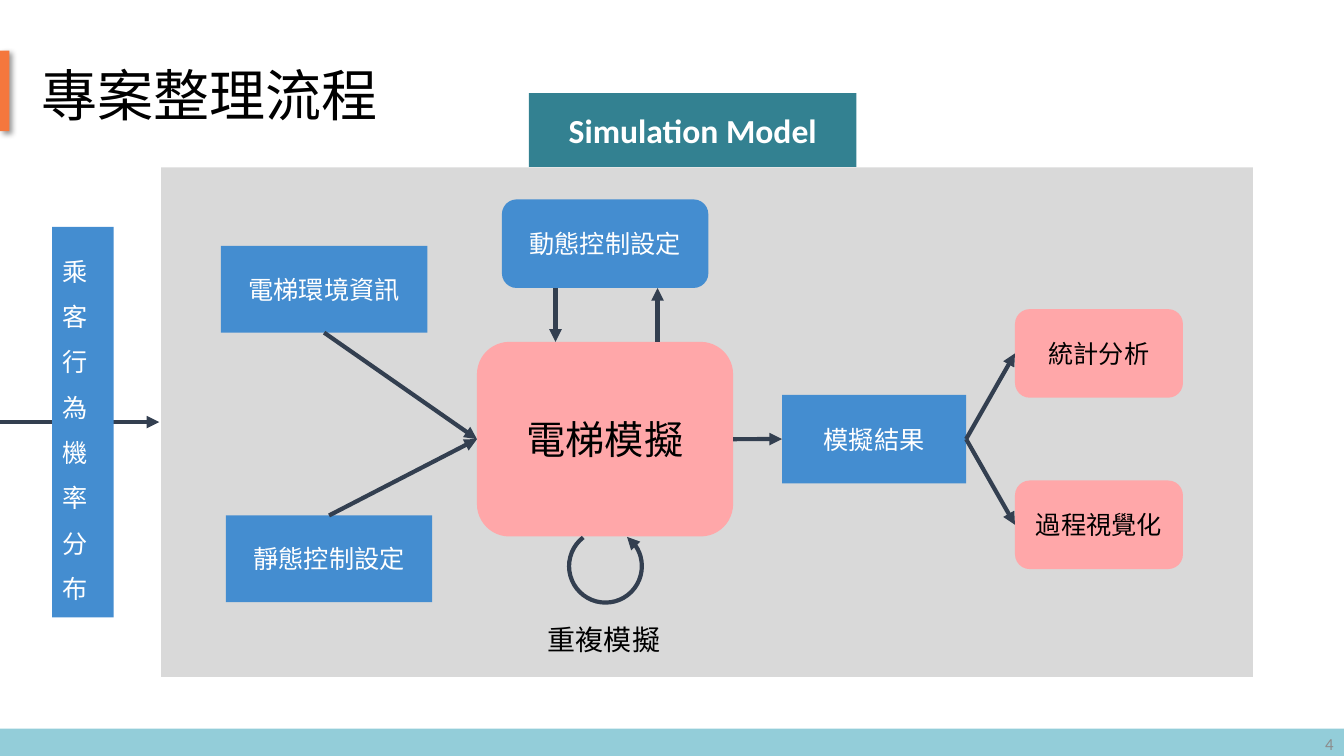
import dataclasses
import typing

import pptx
import pptx.dml.color
import pptx.enum.shapes
import pptx.enum.text
import pptx.oxml
import pptx.oxml.ns
import pptx.util

Pt = pptx.util.Pt
Kind = pptx.enum.shapes.MSO_SHAPE
Align = pptx.enum.text.PP_ALIGN
Anchor = pptx.enum.text.MSO_ANCHOR
Fit = pptx.enum.text.MSO_AUTO_SIZE

BLUE, PINK, SLATE = "448DD0", "FFA7A9", "333F50"
WHITE, BLACK = "FFFFFF", "000000"
CJK = "Noto Sans CJK JP"
TOP, LEFT, BASE, RIGHT = range(4)


@dataclasses.dataclass
class Box:
    left: float
    top: float
    width: float
    height: float
    fill: str
    text: str = ""
    ink: str = WHITE
    size: float = 18
    kind: typing.Any = Kind.RECTANGLE
    bold: bool = False
    align: typing.Any = Align.CENTER
    space: float = 1.0


@dataclasses.dataclass
class Label:
    left: float
    top: float
    width: float
    height: float
    text: str
    size: float
    ink: str = BLACK
    face: str = "Calibri"
    align: typing.Any = Align.LEFT
    wrap: bool = False
    anchor: typing.Any = Anchor.TOP
    fit: typing.Any = Fit.SHAPE_TO_FIT_TEXT


class Link(typing.NamedTuple):
    tail: str
    start: int
    head: str
    end: int


class Line(typing.NamedTuple):
    x1: float
    y1: float
    x2: float
    y2: float


deck = pptx.Presentation()
deck.slide_width, deck.slide_height = Pt(960), Pt(540)
slide = deck.slides.add_slide(deck.slide_layouts[6])
shapes = slide.shapes


def tint(code: str) -> pptx.dml.color.RGBColor:
    return pptx.dml.color.RGBColor.from_string(code)


def put(item: typing.Any, values: dict) -> None:
    for name, value in values.items():
        setattr(item, name, value)


def write(frame: typing.Any, part: typing.Any, face: str, bold: bool, space: float) -> None:
    para = frame.paragraphs[0]
    put(para, {"alignment": part.align, "line_spacing": space})
    run = para.add_run()
    run.text = part.text
    put(run.font, {"size": Pt(part.size), "name": face, "bold": bold})
    run.font.color.rgb = tint(part.ink)
    if face == CJK:
        east = run.font.fill and pptx.oxml.parse_xml(
            f'<a:ea {pptx.oxml.ns.nsdecls("a")} typeface="{CJK}"/>')
        run._r.get_or_add_rPr().find(pptx.oxml.ns.qn("a:latin")).addnext(east)


def draw(box: Box) -> typing.Any:
    shape = shapes.add_shape(box.kind, Pt(box.left), Pt(box.top), Pt(box.width), Pt(box.height))
    shape.shadow.inherit = False
    shape.fill.solid()
    shape.fill.fore_color.rgb = tint(box.fill)
    shape.line.fill.background()
    if box.text:
        put(shape.text_frame, {"word_wrap": True, "vertical_anchor": Anchor.MIDDLE})
        write(shape.text_frame, box, "Calibri", box.bold, box.space)
    return shape


def note(label: Label) -> None:
    area = shapes.add_textbox(Pt(label.left), Pt(label.top), Pt(label.width), Pt(label.height))
    put(area.text_frame, {"word_wrap": label.wrap, "vertical_anchor": label.anchor,
                          "auto_size": label.fit})
    write(area.text_frame, label, label.face, False, 1.0)


def stroke(shape: typing.Any) -> None:
    shape.line.color.rgb = tint(SLATE)
    shape.line.width = Pt(3)
    shape.line._get_or_add_ln().append(
        pptx.oxml.parse_xml(f'<a:tailEnd {pptx.oxml.ns.nsdecls("a")} type="triangle"/>'))


def arrow(line: Line) -> typing.Any:
    wire = shapes.add_connector(pptx.enum.shapes.MSO_CONNECTOR.STRAIGHT, *map(Pt, line))
    stroke(wire)
    wire.element.spPr.append(
        pptx.oxml.parse_xml(f'<a:effectLst {pptx.oxml.ns.nsdecls("a")}/>'))
    return wire


# Footer band, page number and inflow
draw(Box(-3, 520.5, 963, 21, "93CDD9"))
note(Label(743.8, 517, 216, 28.8, "4", 12, "8C8C8C", align=Align.RIGHT,
           wrap=True, anchor=Anchor.MIDDLE, fit=Fit.NONE))
arrow(Line(-133.2, 301.5, 113.8, 301.5))

# Process boxes
boxes = {
    "input": Box(37.3, 162, 43.9, 279, BLUE, "乘客行為機率分布", align=Align.LEFT, space=1.5),
    "panel": Box(115, 119.5, 780, 364, "D9D9D9"),
    "site": Box(157.8, 175.6, 147.5, 62, BLUE, "電梯環境資訊"),
    "result": Box(558.6, 282, 131.5, 63.3, BLUE, "模擬結果"),
    "active": Box(358.5, 142.4, 147.5, 63.3, BLUE, "動態控制設定",
                  kind=Kind.FLOWCHART_ALTERNATE_PROCESS),
    "core": Box(340.7, 244.2, 183, 139, PINK, "電梯模擬", BLACK, 28, Kind.ROUNDED_RECTANGLE),
    "stats": Box(725, 220.8, 120, 63.3, PINK, "統計分析", BLACK, kind=Kind.ROUNDED_RECTANGLE),
    "view": Box(725, 343.2, 120, 63.3, PINK, "過程視覺化", BLACK, kind=Kind.ROUNDED_RECTANGLE),
    "static": Box(161.3, 368.2, 147.5, 62, BLUE, "靜態控制設定"),
}
nodes = {name: draw(box) for name, box in boxes.items()}

# Arrows between boxes
for link in (Link("site", BASE, "core", LEFT), Link("static", TOP, "core", LEFT),
             Link("core", RIGHT, "result", LEFT), Link("result", RIGHT, "stats", LEFT),
             Link("result", RIGHT, "view", LEFT)):
    wire = arrow(Line(0, 0, 0, 0))
    wire.begin_connect(nodes[link.tail], link.start)
    wire.end_connect(nodes[link.head], link.end)
for line in (Line(396.8, 205.7, 396.8, 244.2), Line(469.7, 244.2, 469.7, 205.7)):
    arrow(line)

# Repeat loop
loop = shapes.add_shape(Kind.ARC, Pt(406.5), Pt(378.5), Pt(52), Pt(52))
loop.shadow.inherit = False
loop.fill.background()
loop.adjustments[0], loop.adjustments[1] = 162, 117.55
loop.rotation = 322.3
loop.element.spPr.xfrm.set("flipH", "1")
stroke(loop)
note(Label(384.3, 441.3, 95, 31.5, "重複模擬", 20))

# Heading and accent bar
draw(Box(377.8, 66.5, 234, 52.8, "338191", "Simulation Model", size=24, bold=True))
bar = draw(Box(0, 36.2, 6.8, 57.6, "F5773D"))
bar.element.spPr.find(pptx.oxml.ns.qn("a:effectLst")).append(pptx.oxml.parse_xml(
    f'<a:outerShdw {pptx.oxml.ns.nsdecls("a")} blurRad="{Pt(4)}" dist="{Pt(3)}" '
    'dir="2700000" algn="tl" rotWithShape="0"><a:srgbClr val="000000">'
    '<a:alpha val="40000"/></a:srgbClr></a:outerShdw>'))
note(Label(22.8, 39.5, 257, 55.7, "專案整理流程", 40, face=CJK))

deck.save("out.pptx")
